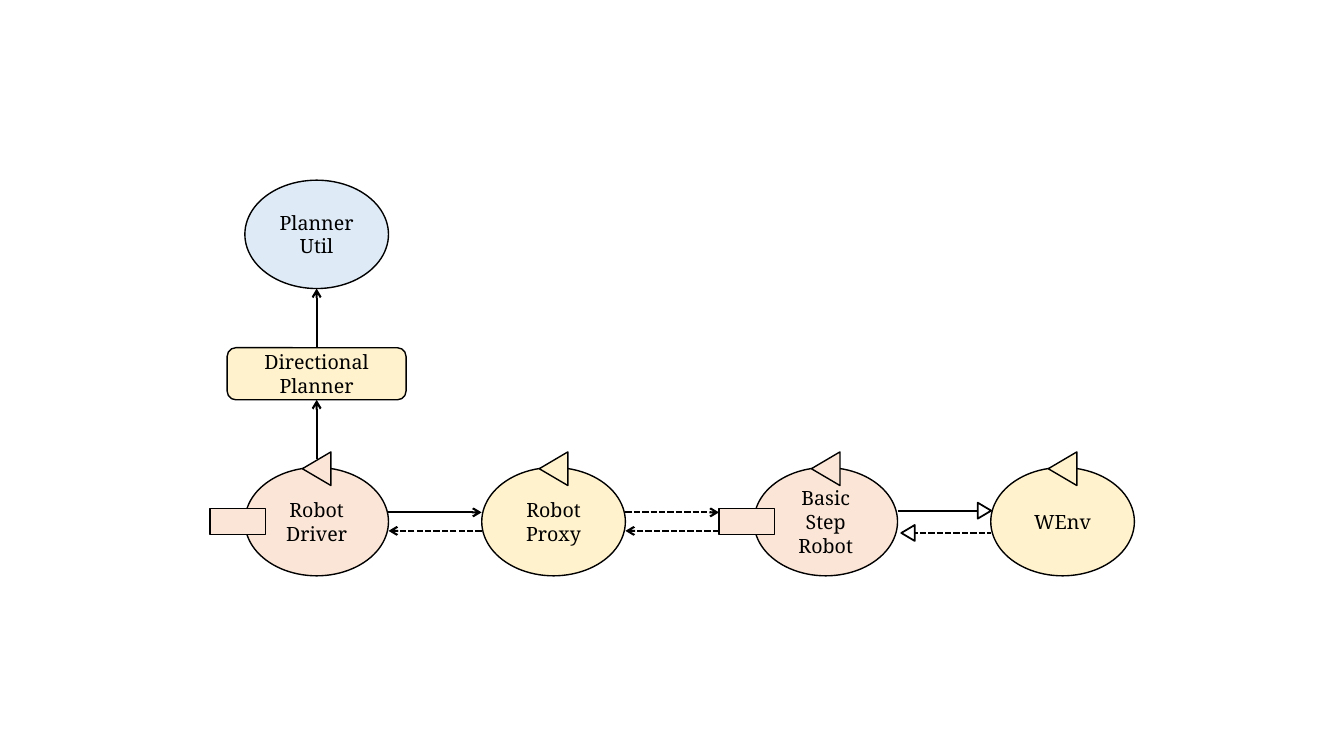
"""Draw the robot planning architecture: actors, planner box and message arrows."""
from dataclasses import dataclass
from typing import Optional

from lxml import etree
from pptx import Presentation
from pptx import util as u
from pptx.dml.color import RGBColor
from pptx.enum import dml, shapes, text
from pptx.oxml import ns

SLIDE_WIDTH, SLIDE_HEIGHT = u.Inches(13.333), u.Inches(7.5)
COLUMNS, ROWS = 160, 90
FONT = "Noto Serif"
BLACK = RGBColor(0x00, 0x00, 0x00)
WHITE = RGBColor(0xFF, 0xFF, 0xFF)
PEACH = RGBColor(0xFB, 0xE5, 0xD6)
CREAM = RGBColor(0xFF, 0xF2, 0xCC)
BLUE = RGBColor(0xDE, 0xEB, 0xF7)

ELLIPSE_SIZE = (17.1, 12.9)
FLAG_SIZE = (4, 3.4)
STUB_SIZE = (6.6, 3.1)
HEAD_SIZE = (1.9, 1.6)
PLANNER_SIZE = (21.3, 6.2)
PLANNER_ROW, UTIL_ROW, ACTOR_ROW = 44.5, 27.9, 62.1
DRIVER, PROXY, ROBOT, WENV = 37.7, 65.9, 98.3, 126.5
HALF_WIDTH = ELLIPSE_SIZE[0] / 2
STUB_OFFSET = 9.4
STUB_REACH = STUB_OFFSET + STUB_SIZE[0] / 2
LEFT, RIGHT = 270, 90


@dataclass(frozen=True)
class Actor:
    label: str
    column: float
    fill: RGBColor
    row: float = ACTOR_ROW
    flag: bool = True
    stub: bool = False


@dataclass(frozen=True)
class Message:
    start: float
    end: float
    row: float
    dashed: bool = True
    arrow: bool = True


@dataclass(frozen=True)
class OpenHead:
    column: float
    row: float
    rotation: int


ACTORS = [
    Actor("Planner Util", DRIVER, BLUE, row=UTIL_ROW, flag=False),
    Actor("Robot Driver", DRIVER, PEACH, stub=True),
    Actor("Robot Proxy", PROXY, CREAM),
    Actor("Basic Step Robot", ROBOT, PEACH, stub=True),
    Actor("WEnv", WENV, CREAM),
]
MESSAGES = [
    Message(DRIVER + HALF_WIDTH, PROXY - HALF_WIDTH, 61, dashed=False),
    Message(PROXY - HALF_WIDTH, DRIVER + HALF_WIDTH, 63.2),
    Message(PROXY + HALF_WIDTH, ROBOT - STUB_REACH, 61),
    Message(ROBOT - STUB_REACH, PROXY + HALF_WIDTH, 63.2),
    Message(ROBOT + HALF_WIDTH, 116.4, 60.8, dashed=False, arrow=False),
    Message(108.5, WENV - HALF_WIDTH, 63.45, arrow=False),
]
OPEN_HEADS = [OpenHead(117.2, 60.8, RIGHT), OpenHead(108.1, 63.45, LEFT)]


def across(columns: float) -> int:
    return round(SLIDE_WIDTH * columns / COLUMNS)


def down(rows: float) -> int:
    return round(SLIDE_HEIGHT * rows / ROWS)


def write(shape, content: str, *, size: float = 14, color: RGBColor = BLACK) -> None:
    frame = shape.text_frame
    frame.word_wrap = True
    frame.vertical_anchor = text.MSO_ANCHOR.MIDDLE
    paragraph = frame.paragraphs[0]
    paragraph.alignment = text.PP_ALIGN.CENTER
    run = paragraph.add_run()
    run.text = content
    run.font.name = FONT
    run.font.size = u.Pt(size)
    run.font.color.rgb = color


def add_centred(slide, kind: shapes.MSO_SHAPE, column: float, row: float,
                size: tuple[float, float], fill: RGBColor,
                rotation: int = 0, weight: float = 1):
    width, height = size
    shape = slide.shapes.add_shape(
        kind, across(column - width / 2), down(row - height / 2),
        across(width), down(height))
    shape.shadow.inherit = False
    shape.fill.solid()
    shape.fill.fore_color.rgb = fill
    shape.line.color.rgb = BLACK
    shape.line.width = u.Pt(weight)
    shape.rotation = rotation
    return shape


def add_line(slide, start: tuple[float, float], end: tuple[float, float],
             dashed: bool = False, arrow: bool = True,
             source: Optional[tuple] = None, target: Optional[tuple] = None) -> None:
    connector = slide.shapes.add_connector(
        shapes.MSO_CONNECTOR.STRAIGHT, across(start[0]), down(start[1]),
        across(end[0]), down(end[1]))
    if source:
        connector.begin_connect(*source)
    if target:
        connector.end_connect(*target)
    line = connector.line
    line.color.rgb = BLACK
    line.width = u.Pt(1.5)
    if dashed:
        line.dash_style = dml.MSO_LINE.SQUARE_DOT
    properties = connector._element.spPr
    if arrow:
        etree.SubElement(properties.find(ns.qn("a:ln")), ns.qn("a:tailEnd"), type="arrow")
    etree.SubElement(properties, ns.qn("a:effectLst"))


def add_actor(slide, actor: Actor) -> None:
    ellipse = add_centred(slide, shapes.MSO_SHAPE.OVAL, actor.column, actor.row,
                          ELLIPSE_SIZE, actor.fill)
    write(ellipse, actor.label)
    if actor.flag:
        add_centred(slide, shapes.MSO_SHAPE.ISOSCELES_TRIANGLE, actor.column,
                    actor.row - 6.3, FLAG_SIZE, actor.fill, rotation=LEFT)
    if actor.stub:
        add_centred(slide, shapes.MSO_SHAPE.RECTANGLE, actor.column - STUB_OFFSET,
                    actor.row, STUB_SIZE, actor.fill)


def main() -> None:
    presentation = Presentation()
    presentation.slide_width, presentation.slide_height = SLIDE_WIDTH, SLIDE_HEIGHT
    slide = presentation.slides.add_slide(presentation.slide_layouts[6])

    for actor in ACTORS:
        add_actor(slide, actor)

    planner = add_centred(slide, shapes.MSO_SHAPE.ROUNDED_RECTANGLE, DRIVER, PLANNER_ROW,
                          PLANNER_SIZE, CREAM)
    write(planner, "Directional Planner")
    planner_top = PLANNER_ROW - PLANNER_SIZE[1] / 2
    planner_bottom = PLANNER_ROW + PLANNER_SIZE[1] / 2
    util_bottom = UTIL_ROW + ELLIPSE_SIZE[1] / 2
    add_line(slide, (DRIVER, 54.7), (DRIVER, planner_bottom), target=(planner, 2))
    add_line(slide, (DRIVER, planner_top), (DRIVER, util_bottom), source=(planner, 0))

    for message in MESSAGES:
        add_line(slide, (message.start, message.row), (message.end, message.row),
                 dashed=message.dashed, arrow=message.arrow)
    for head in OPEN_HEADS:
        add_centred(slide, shapes.MSO_SHAPE.ISOSCELES_TRIANGLE, head.column, head.row,
                    HEAD_SIZE, WHITE, rotation=head.rotation, weight=1.25)

    presentation.save("out.pptx")


if __name__ == "__main__":
    main()
